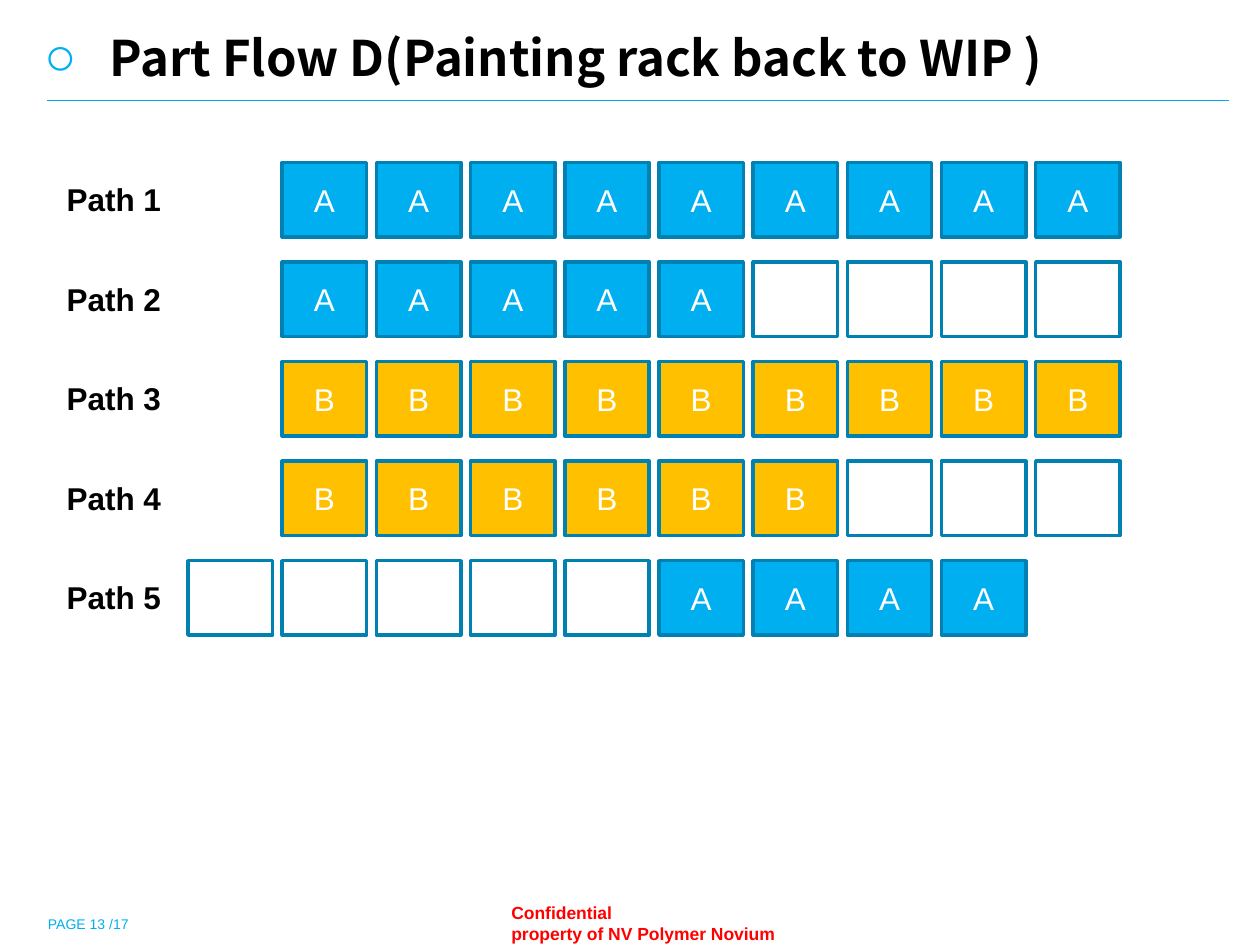
from lxml import etree
from pptx import Presentation
from pptx.dml.color import RGBColor
from pptx.enum.shapes import MSO_CONNECTOR, MSO_SHAPE
from pptx.enum.text import MSO_ANCHOR, MSO_AUTO_SIZE, PP_ALIGN
from pptx.oxml.ns import qn
from pptx.util import Inches, Pt

LINE = MSO_CONNECTOR.STRAIGHT
RECT = MSO_SHAPE.RECTANGLE
TOP, MIDDLE, BOTTOM = MSO_ANCHOR.TOP, MSO_ANCHOR.MIDDLE, MSO_ANCHOR.BOTTOM
FIXED = MSO_AUTO_SIZE.NONE
LEFT, CENTER = PP_ALIGN.LEFT, PP_ALIGN.CENTER

COLS, ROWS = 100, 75
WIDE, HIGH = Inches(10), Inches(7.5)
HUES = {
    "white": "FFFFFF", "black": "000000", "red": "FF0000", "rule": "00ABEB",
    "edge": "0081B2", "blue": "00AFF0", "gold": "FFC000",
}
FILLS = {"A": "blue", "B": "gold", "-": "white"}
PATHS = [
    ("Path 1", 0, "AAAAAAAAA"),
    ("Path 2", 0, "AAAAA----"),
    ("Path 3", 0, "BBBBBBBBB"),
    ("Path 4", 0, "BBBBBB---"),
    ("Path 5", -1, "-----AAAA"),
]


def hue(name):
    return RGBColor.from_string(HUES[name])


def place(x, y, w, h):
    return (int(WIDE * x / COLS), int(HIGH * y / ROWS),
            int(WIDE * w / COLS), int(HIGH * h / ROWS))


def add_run(para, text, size, color, bold=False, face="Arial"):
    run = para.add_run()
    run.text = text
    font = run.font
    font.name, font.size, font.bold = face, Pt(size), bold
    font.color.rgb = hue(color)


def add_text(slide, box, lines, size, color, bold=False):
    frame = slide.shapes.add_textbox(*place(*box)).text_frame
    frame.word_wrap = True
    para = frame.paragraphs[0]
    for i, line in enumerate(lines):
        if i:
            para.add_line_break()
        add_run(para, line, size, color, bold)
    return frame


def add_title(slide, box):
    title = slide.shapes.title
    title.left, title.top, title.width, title.height = place(*box)
    frame = title.text_frame
    frame.word_wrap, frame.auto_size = True, FIXED
    frame.vertical_anchor = TOP
    para = frame.paragraphs[0]
    para.alignment = LEFT
    props = para._p.get_or_add_pPr()
    props.set("marL", str(Inches(0.52)))
    props.set("indent", str(-Inches(0.52)))
    tint = etree.SubElement(props, qn("a:buClr"))
    etree.SubElement(tint, qn("a:srgbClr")).set("val", HUES["blue"])
    etree.SubElement(props, qn("a:buSzPct")).set("val", "110000")
    etree.SubElement(props, qn("a:buFont")).set("typeface", "Arial")
    etree.SubElement(props, qn("a:buChar")).set("char", "○")
    add_run(para, "Part Flow D(Painting rack back to WIP )", 28, "black",
            True, "Noto Sans CJK SC")


def add_rule(slide, box):
    x, y, w, h = place(*box)
    rule = slide.shapes.add_connector(LINE, x, y, x + w, y + h)
    rule.line.color.rgb = hue("rule")
    rule.line.width = Pt(0.75)
    etree.SubElement(rule._element.spPr, qn("a:effectLst"))


def add_slot(slide, box, kind):
    slot = slide.shapes.add_shape(RECT, *place(*box))
    slot.shadow.inherit = False
    slot.fill.solid()
    slot.fill.fore_color.rgb = hue(FILLS[kind])
    slot.line.color.rgb = hue("edge")
    slot.line.width = Pt(2)
    if kind != "-":
        frame = slot.text_frame
        frame.vertical_anchor = MIDDLE
        frame.paragraphs[0].alignment = CENTER
        add_run(frame.paragraphs[0], kind, 18, "white")


def add_labels(slide, box):
    x, y, w, h = box
    tall = 4
    step = (h - tall) / (len(PATHS) - 1)
    for row, (name, _, _) in enumerate(PATHS):
        add_text(slide, (x, y + row * step, w, tall), [name], 18, "black", True)


def add_slots(slide, box):
    x, y, w, h = box
    wide, tall = 6.7, 5.9
    across = (w - wide) / (len(PATHS[0][2]) - 1)
    down = (h - tall) / (len(PATHS) - 1)
    for row, (_, first, kinds) in enumerate(PATHS):
        for col, kind in enumerate(kinds, first):
            spot = (x + col * across, y + row * down, wide, tall)
            add_slot(slide, spot, kind)


def add_footer(slide, box):
    x, y, w, h = box
    add_text(slide, (x + 35.8, y, 22.9, h),
             ["Confidential", "property of NV Polymer Novium"], 10, "red", True)
    page = add_text(slide, (x, y + 0.4, w, 2.5), ["PAGE 13 /17"], 8, "blue")
    page.vertical_anchor = BOTTOM
    page.margin_left = page.margin_right = 0
    page.margin_top = page.margin_bottom = 0


def main():
    deck = Presentation()
    deck.slide_width, deck.slide_height = WIDE, HIGH
    slide = deck.slides.add_slide(deck.slide_layouts[5])
    slide.background.fill.solid()
    slide.background.fill.fore_color.rgb = hue("white")
    add_title(slide, (2.5, 1.7, 96.6, 4.7))
    add_rule(slide, (3.7, 8, 93.8, 0))
    add_labels(slide, (4.3, 13.8, 12.2, 35.6))
    add_slots(slide, (22.4, 12.9, 66.5, 37.5))
    add_footer(slide, (3.8, 71.1, 80.3, 4.3))
    deck.save("out.pptx")


if __name__ == "__main__":
    main()
